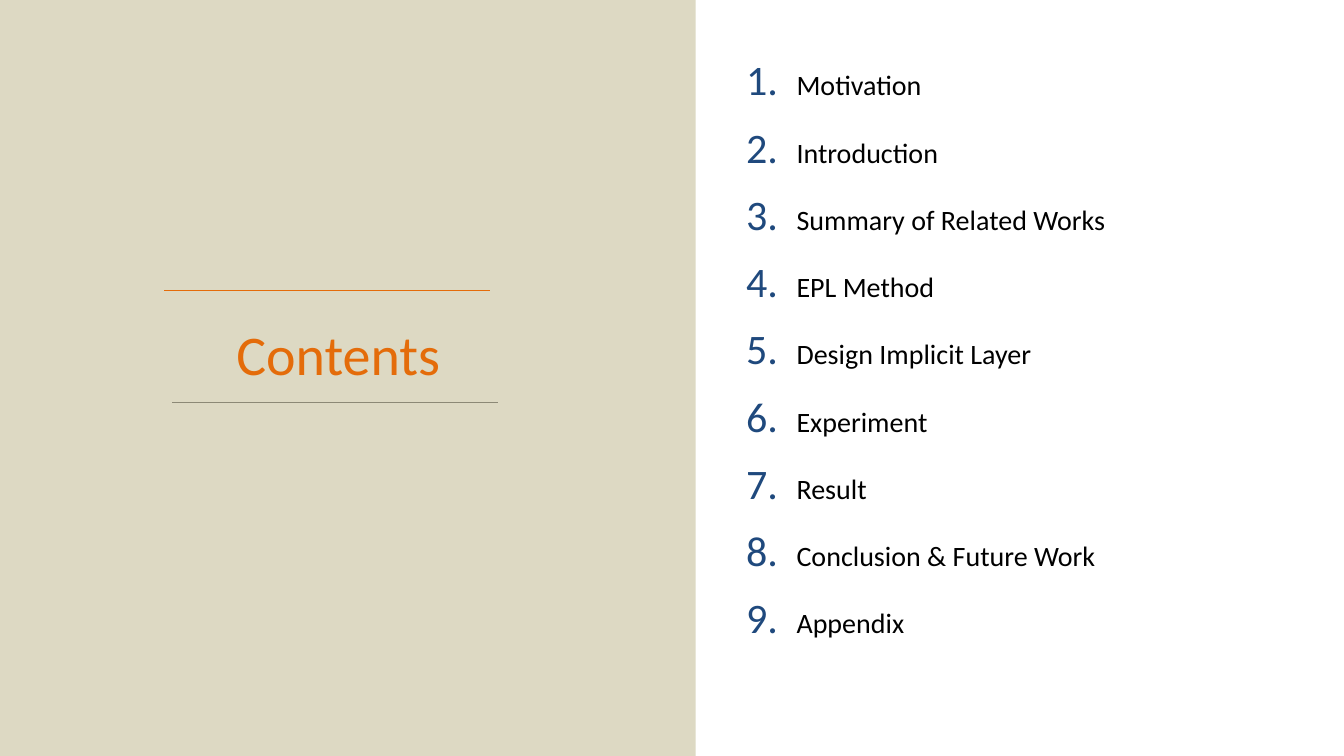
from dataclasses import dataclass

from lxml.etree import SubElement
from pptx import Presentation
from pptx.dml.color import RGBColor
from pptx.enum.shapes import MSO_CONNECTOR, MSO_SHAPE
from pptx.enum.text import MSO_ANCHOR, MSO_AUTO_SIZE, PP_ALIGN
from pptx.oxml.ns import qn
from pptx.util import Inches, Pt


@dataclass(frozen=True)
class Theme:
    font: str = "Calibri"
    sand: str = "DDD9C3"
    white: str = "FFFFFF"
    orange: str = "E46C0A"
    gray: str = "8C8976"
    navy: str = "1F497D"
    black: str = "000000"
    title_size: int = 40
    list_size: int = 20
    number_percent: int = 150
    rule_width: float = 0.75


THEME = Theme()
SLIDE_WIDTH, SLIDE_HEIGHT = 13.33, 7.5
PANEL_WIDTH = 6.9
TOPICS = [
    "Motivation",
    "Introduction",
    "Summary of Related Works",
    "EPL Method",
    "Design Implicit Layer",
    "Experiment",
    "Result",
    "Conclusion & Future Work",
    "Appendix",
]


def place(shape, left, top, width, height):
    shape.left, shape.top = Inches(left), Inches(top)
    shape.width, shape.height = Inches(width), Inches(height)


def write_text(paragraph, text, *, size, color, align=PP_ALIGN.LEFT, spacing=1.0):
    paragraph.alignment = align
    paragraph.line_spacing = spacing
    paragraph.space_before = Pt(0)
    run = paragraph.add_run()
    run.text = text
    run.font.name = THEME.font
    run.font.size = Pt(size)
    run.font.color.rgb = RGBColor.from_string(color)


def prepare_frame(shape, anchor):
    frame = shape.text_frame
    frame.word_wrap = True
    frame.auto_size = MSO_AUTO_SIZE.NONE
    frame.vertical_anchor = anchor
    return frame


def number_paragraph(paragraph, indent):
    properties = paragraph._p.get_or_add_pPr()
    properties.set("marL", str(Inches(indent)))
    properties.set("indent", str(-Inches(indent)))
    color = SubElement(properties, qn("a:buClr"))
    SubElement(color, qn("a:srgbClr"), val=THEME.navy)
    SubElement(properties, qn("a:buSzPct"), val=str(THEME.number_percent * 1000))
    SubElement(properties, qn("a:buFont"), typeface="+mj-lt")
    SubElement(properties, qn("a:buAutoNum"), type="arabicPeriod")


def add_panel(slide, left, top, width, height, color):
    panel = slide.shapes.add_shape(
        MSO_SHAPE.RECTANGLE, Inches(left), Inches(top), Inches(width), Inches(height))
    panel.shadow.inherit = False
    panel.fill.solid()
    panel.fill.fore_color.rgb = RGBColor.from_string(color)
    panel.line.fill.background()
    # Panels go behind the placeholders
    slide.shapes._spTree.insert(2, panel._element)


def add_rule(slide, left, top, width, color):
    rule = slide.shapes.add_connector(
        MSO_CONNECTOR.STRAIGHT, Inches(left), Inches(top), Inches(left + width), Inches(top))
    rule.line.color.rgb = RGBColor.from_string(color)
    rule.line.width = Pt(THEME.rule_width)
    SubElement(rule._element.spPr, qn("a:effectLst"))


def build_title_region(slide, left, top, width, height):
    add_panel(slide, left, top, width, height, THEME.sand)
    # Heading between two rules
    title = slide.shapes.title
    place(title, left + 1.31, top + 3.12, 4.09, 0.77)
    frame = prepare_frame(title, MSO_ANCHOR.TOP)
    write_text(frame.paragraphs[0], "Contents", size=THEME.title_size,
               color=THEME.orange, align=PP_ALIGN.CENTER)
    add_rule(slide, left + 1.63, top + 2.88, 3.23, THEME.orange)
    add_rule(slide, left + 1.71, top + 3.99, 3.23, THEME.gray)


def build_topics_region(slide, left, top, width, height):
    add_panel(slide, left, top, width, height, THEME.white)
    # Numbered list of topics
    body = slide.placeholders[1]
    place(body, left + 0.4, top + 0.29, width - 0.4, 6.07)
    frame = prepare_frame(body, MSO_ANCHOR.TOP)
    for index, topic in enumerate(TOPICS):
        paragraph = frame.add_paragraph() if index else frame.paragraphs[0]
        write_text(paragraph, topic, size=THEME.list_size, color=THEME.black, spacing=2.0)
        number_paragraph(paragraph, 0.5)


def main():
    presentation = Presentation()
    presentation.slide_width = Inches(SLIDE_WIDTH)
    presentation.slide_height = Inches(SLIDE_HEIGHT)
    slide = presentation.slides.add_slide(presentation.slide_layouts[1])
    build_title_region(slide, 0, 0, PANEL_WIDTH, SLIDE_HEIGHT)
    build_topics_region(slide, PANEL_WIDTH, 0, SLIDE_WIDTH - PANEL_WIDTH, SLIDE_HEIGHT)
    presentation.save("out.pptx")


if __name__ == "__main__":
    main()
